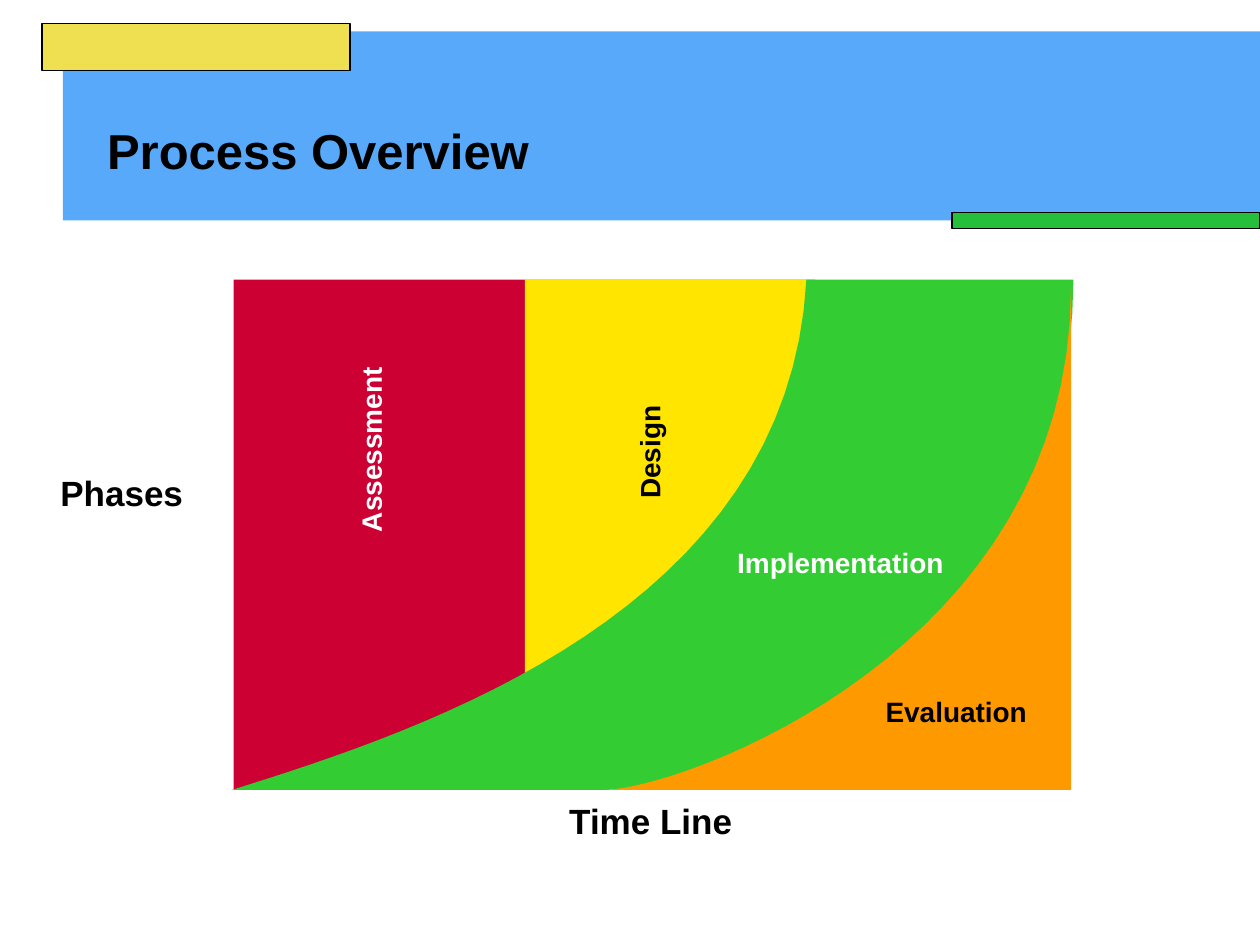
"""Build the Process Overview slide: four project phases along a time line."""
import pptx
import pptx.util
import pptx.dml.color
import pptx.enum.shapes
import pptx.enum.text

Pt = pptx.util.Pt
ALIGN = pptx.enum.text.PP_ALIGN
ANCHOR = pptx.enum.text.MSO_ANCHOR
AUTO = pptx.enum.text.MSO_AUTO_SIZE

THEME = {
    "font": "Arial",
    "title": 28, "axis": 20, "phase": 16,
    "black": "000000", "white": "FFFFFF",
    "band": "58A9FA", "accent_green": "25BF3B", "accent_yellow": "EFE051",
    "assessment": "CC0033", "design": "FFE500",
    "implementation": "33CC33", "evaluation": "FF9900",
}

TITLE = ("Process Overview", (54, 51.5, 612, 54.7))
BANDS = [
    ((36, 18, 684, 108), "band", False),
    ((544, 121.5, 176, 9.2), "accent_green", True),
    ((24, 13.5, 176, 27), "accent_yellow", True),
]
BLOCKS = [
    ((133.5, 159.8, 168.5, 291.6), "assessment", False),
    ((300, 159.5, 165.8, 291.2), "design", False),
]
OUTER_CURVE = [(613.4, 159.8), (613.4, 370.1), (393.1, 451.4), (346.3, 451.4)]
INNER_CURVE = [(132.5, 451.4), (242.6, 416.9), (450.7, 349.2), (460.8, 159.8)]
EVALUATION_CURVE = [(612, 164.2), (612, 372.2), (388.1, 451.4), (344.9, 451.4)]
EVALUATION_CORNER = (612, 451.4)
CURVE_STEPS = 32

AXIS_LABELS = [
    ("Phases", (27.4, 265.7, 88, 31)),
    ("Time Line", (318.2, 453.6, 110, 31)),
]
PHASE_LABELS = [
    ("Assessment", (143.3, 245.5, 139.7, 23), "white", 270, 0.85),
    ("Design", (334.1, 247, 76.3, 23), "black", 270, 0.85),
    ("Implementation", (410.4, 311, 139.7, 23), "white", 0, 0.85),
    ("Evaluation", (491, 393.1, 110.9, 25.9), "black", 0, 1),
]


def color(name):
    return pptx.dml.color.RGBColor.from_string(THEME[name])


def box(values):
    return [Pt(v) for v in values]


def paint(sp, fill, outlined=False):
    sp.shadow.inherit = False
    sp.fill.solid()
    sp.fill.fore_color.rgb = color(fill)
    if outlined:
        sp.line.color.rgb = color("black")
        sp.line.width = Pt(0.75)
    else:
        sp.line.fill.background()


def add_rectangle(s, place, fill, outlined):
    kind = pptx.enum.shapes.MSO_SHAPE.RECTANGLE
    paint(s.shapes.add_shape(kind, *box(place)), fill, outlined)


def curve(controls):
    points = []
    for i in range(CURVE_STEPS + 1):
        t = i / CURVE_STEPS
        weights = ((1 - t) ** 3, 3 * t * (1 - t) ** 2, 3 * t * t * (1 - t), t ** 3)
        points.append(tuple(sum(w * c[axis] for w, c in zip(weights, controls))
                            for axis in (0, 1)))
    return points


def add_area(s, points, fill):
    corners = [tuple(box(point)) for point in points]
    builder = s.shapes.build_freeform(*corners[0], scale=1.0)
    builder.add_line_segments(corners[1:], close=True)
    paint(builder.convert_to_shape(), fill)


def write(sp, text, size, ink="black", align=ALIGN.LEFT, spacing=1,
          anchor=ANCHOR.TOP, wrap=True, fit=AUTO.SHAPE_TO_FIT_TEXT):
    tf = sp.text_frame
    tf.word_wrap = wrap
    tf.auto_size = fit
    tf.vertical_anchor = anchor
    p = tf.paragraphs[0]
    p.alignment = align
    p.line_spacing = spacing
    r = p.add_run()
    r.text = text
    r.font.name = THEME["font"]
    r.font.size = Pt(THEME[size])
    r.font.bold = True
    r.font.color.rgb = color(ink)


def add_title(s):
    text, place = TITLE
    sp = s.shapes.title
    sp.left, sp.top, sp.width, sp.height = box(place)
    s.shapes._spTree.append(sp._element)
    write(sp, text, "title", anchor=ANCHOR.BOTTOM, fit=AUTO.NONE)


def main():
    prs = pptx.Presentation()
    prs.slide_width, prs.slide_height = Pt(720), Pt(540)
    s = prs.slides.add_slide(prs.slide_layouts[5])

    for band in BANDS:
        add_rectangle(s, *band)
    add_title(s)
    for block in BLOCKS:
        add_rectangle(s, *block)
    add_area(s, curve(OUTER_CURVE) + curve(INNER_CURVE), "implementation")
    add_area(s, curve(EVALUATION_CURVE) + [EVALUATION_CORNER], "evaluation")

    for text, place, ink, rotation, spacing in PHASE_LABELS:
        sp = s.shapes.add_textbox(*box(place))
        sp.rotation = rotation
        write(sp, text, "phase", ink, ALIGN.CENTER, spacing)
    for text, place in AXIS_LABELS:
        write(s.shapes.add_textbox(*box(place)), text, "axis", wrap=False,
              fit=AUTO.NONE)

    prs.save("out.pptx")


if __name__ == "__main__":
    main()
